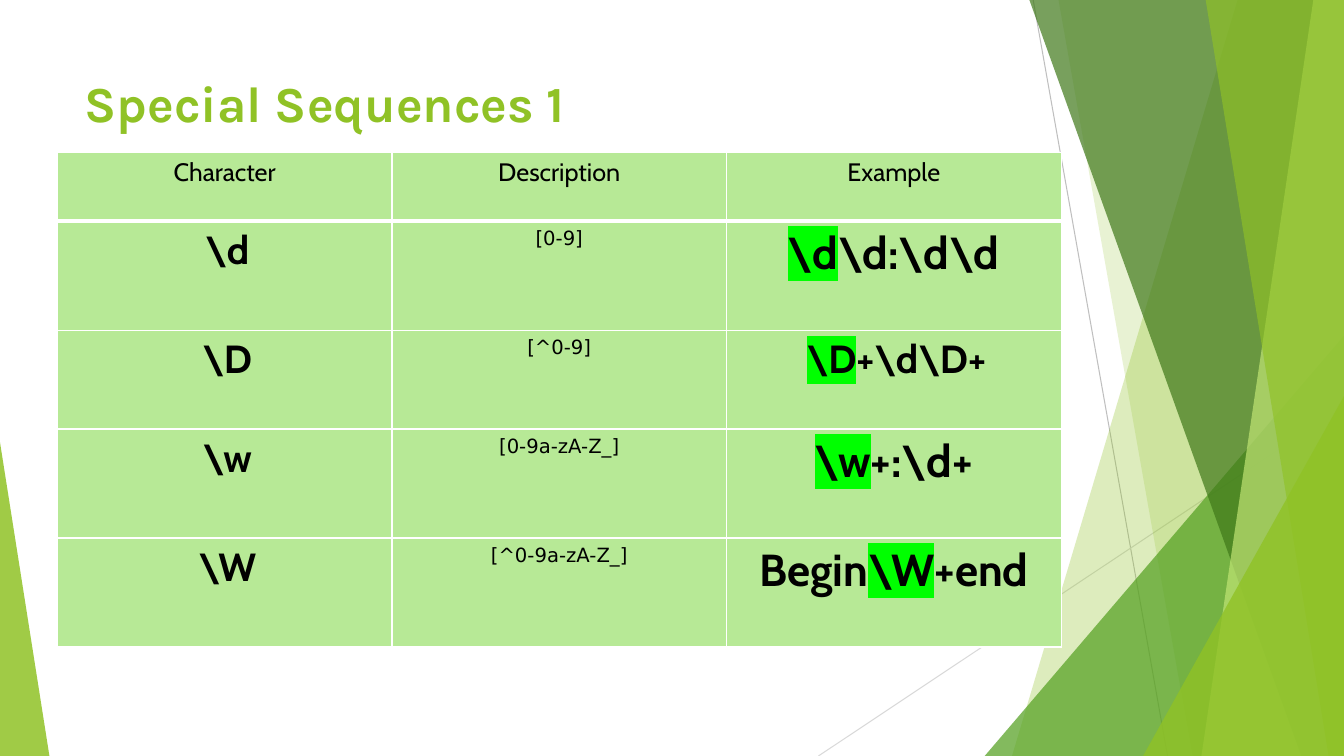
"""Build the slide on special regular-expression sequences with a faceted green border."""

from dataclasses import dataclass
from typing import Any

from lxml.etree import SubElement
from pptx import Presentation
from pptx.dml.color import RGBColor
from pptx.enum.shapes import MSO_CONNECTOR, MSO_SHAPE
from pptx.enum.text import MSO_ANCHOR, PP_ALIGN
from pptx.oxml.ns import qn
from pptx.util import Pt

WIDTH, HEIGHT = 960, 540
LIME = RGBColor(0x90, 0xC2, 0x26)
PALE_LIME = RGBColor(0xC0, 0xE4, 0x74)
GREEN = RGBColor(0x54, 0xA0, 0x21)
DARK_GREEN = RGBColor(0x3F, 0x78, 0x19)
CELL_GREEN = RGBColor(0xB7, 0xE9, 0x96)
HIGHLIGHT = RGBColor(0x00, 0xFF, 0x00)
BLACK = RGBColor(0x00, 0x00, 0x00)
WHITE = RGBColor(0xFF, 0xFF, 0xFF)
GREY = RGBColor(0xBF, 0xBF, 0xBF)
LIGHT_GREY = RGBColor(0xD9, 0xD9, 0xD9)


@dataclass(frozen=True)
class Ray:
    start: tuple[float, float]
    end: tuple[float, float]
    color: RGBColor


@dataclass(frozen=True)
class Wedge:
    top_x: float
    bottom_x: float
    color: RGBColor
    opacity: int


@dataclass(frozen=True)
class Corner:
    left: float
    top: float
    width: float
    apex: int
    color: RGBColor
    opacity: int


@dataclass(frozen=True)
class Entry:
    runs: tuple[str, ...]
    size: int
    font: str = "Cabin"
    bold: bool = True
    marked: int = -1
    insets: tuple[float, float, float, float] = (7.2, 3.6, 7.2, 3.6)


RAYS = (
    Ray((738, 0), (834, HEIGHT), GREY),
    Ray((WIDTH, 290), (584.6, HEIGHT), LIGHT_GREY),
)
FACETS = (
    Wedge(884.2, 722.9, LIME, 30),
    Wedge(756, 851.8, LIME, 20),
    Corner(703.4, 239.8, 256.6, 1, GREEN, 72),
    Wedge(735.1, 929.5, DARK_GREEN, 70),
    Wedge(938.2, 858.2, PALE_LIME, 70),
    Wedge(861.1, 949, LIME, 65),
    Corner(816.5, 283, 143.5, 1, LIME, 80),
    Corner(0, 316, 35.3, 0, LIME, 85),
)
WIDE_LEFT = (7.9, 4.3, 4.3, 4.3)
EVEN = (4.3, 4.3, 4.3, 4.3)
HEADINGS = ("Character", "Description", "Example")
SEQUENCES = (
    ("\\d", "[0-9]", Entry(("\\d", "\\d:\\d\\d"), 32, marked=0)),
    ("\\D", "[^0-9]", Entry(("\\D", "+\\d\\D+"), 28, marked=0, insets=WIDE_LEFT)),
    ("\\w", "[0-9a-zA-Z_]", Entry(("\\w", "+:\\d+"), 32, marked=0)),
    ("\\W", "[^0-9a-zA-Z_]", Entry(("Begin", "\\W", "+end"), 32, marked=1)),
)
ROW_HEIGHTS = (49, 77.9, 70.6, 77.9, 77.9)
COLUMN_WIDTH = 239


def apply_format(target: Any, values: dict[str, Any]) -> None:
    for name, value in values.items():
        setattr(target, name, value)


def format_font(font: Any, name: str, size: int, bold: bool, color: RGBColor) -> None:
    apply_format(font, {"name": name, "size": Pt(size), "bold": bold})
    font.color.rgb = color


def add_ray(slide: Any, ray: Ray) -> None:
    points = [Pt(value) for value in ray.start + ray.end]
    connector = slide.shapes.add_connector(MSO_CONNECTOR.STRAIGHT, *points)
    connector.line.color.rgb = ray.color
    connector.line.width = Pt(0.75)
    SubElement(connector._element.spPr, qn("a:effectLst"))


def add_facet(slide: Any, facet: Wedge | Corner) -> None:
    if isinstance(facet, Wedge):
        builder = slide.shapes.build_freeform(Pt(facet.top_x), Pt(-0.6))
        outline = ((WIDTH, -0.6), (WIDTH, HEIGHT), (facet.bottom_x, HEIGHT))
        builder.add_line_segments([(Pt(x), Pt(y)) for x, y in outline], close=True)
        shape = builder.convert_to_shape()
    else:
        box = (facet.left, facet.top, facet.width, HEIGHT - facet.top)
        shape = slide.shapes.add_shape(MSO_SHAPE.ISOSCELES_TRIANGLE, *map(Pt, box))
        shape.adjustments[0] = facet.apex
    shape.shadow.inherit = False
    shape.line.fill.background()
    shape.fill.solid()
    shape.fill.fore_color.rgb = facet.color
    color = shape._element.spPr.find(qn("a:solidFill")).find(qn("a:srgbClr"))
    SubElement(color, qn("a:alpha"), val=str(facet.opacity * 1000))


def add_title(slide: Any) -> None:
    title = slide.shapes.title
    box = {"left": 53.3, "top": 48.2, "width": 676.8, "height": 103.7}
    apply_format(title, {name: Pt(value) for name, value in box.items()})
    title.text_frame.text = "Special Sequences 1"
    title.text_frame.vertical_anchor = MSO_ANCHOR.TOP
    paragraph = title.text_frame.paragraphs[0]
    paragraph.alignment = PP_ALIGN.LEFT
    format_font(paragraph.runs[0].font, "Karla", 36, True, LIME)


def add_borders(cell: Any, bottom_width: float) -> None:
    properties = cell._tc.get_or_add_tcPr()
    widths = {"lnL": 1, "lnR": 1, "lnT": 1, "lnB": bottom_width}
    for position, (side, width) in enumerate(widths.items()):
        border = SubElement(properties, qn(f"a:{side}"), w=str(Pt(width)))
        fill = SubElement(border, qn("a:solidFill"))
        SubElement(fill, qn("a:srgbClr"), val=str(WHITE))
        properties.insert(position, border)


def fill_cell(cell: Any, entry: Entry, bottom_width: float) -> None:
    sides = ("margin_left", "margin_top", "margin_right", "margin_bottom")
    apply_format(cell, dict(zip(sides, map(Pt, entry.insets))))
    cell.fill.solid()
    cell.fill.fore_color.rgb = CELL_GREEN
    add_borders(cell, bottom_width)
    paragraph = cell.text_frame.paragraphs[0]
    paragraph.alignment = PP_ALIGN.CENTER
    for index, text in enumerate(entry.runs):
        run = paragraph.add_run()
        run.text = text
        format_font(run.font, entry.font, entry.size, entry.bold, BLACK)
        if index == entry.marked:
            properties = run._r.get_or_add_rPr()
            highlight = SubElement(properties, qn("a:highlight"))
            SubElement(highlight, qn("a:srgbClr"), val=str(HIGHLIGHT))
            properties.find(qn("a:latin")).addprevious(highlight)


def add_sequence_table(slide: Any) -> None:
    rows = [[Entry((heading,), 18, bold=False) for heading in HEADINGS]]
    for character, description, example in SEQUENCES:
        rows.append([
            Entry((character,), 28, insets=WIDE_LEFT),
            Entry((description,), 14, "DejaVu Sans", False, insets=EVEN),
            example,
        ])
    box = (41, 108.9, COLUMN_WIDTH * len(HEADINGS), sum(ROW_HEIGHTS))
    table = slide.shapes.add_table(len(rows), len(HEADINGS), *map(Pt, box)).table
    apply_format(table, {"first_row": False, "horz_banding": False})
    for column in table.columns:
        column.width = Pt(COLUMN_WIDTH)
    for row_index, entries in enumerate(rows):
        table.rows[row_index].height = Pt(ROW_HEIGHTS[row_index])
        for column_index, entry in enumerate(entries):
            cell = table.cell(row_index, column_index)
            fill_cell(cell, entry, 3 if row_index == 0 else 1)


def main() -> None:
    presentation = Presentation()
    apply_format(presentation, {"slide_width": Pt(WIDTH), "slide_height": Pt(HEIGHT)})
    slide = presentation.slides.add_slide(presentation.slide_layouts[5])
    for ray in RAYS:
        add_ray(slide, ray)
    for facet in FACETS:
        add_facet(slide, facet)
    add_title(slide)
    add_sequence_table(slide)
    presentation.save("out.pptx")


if __name__ == "__main__":
    main()
